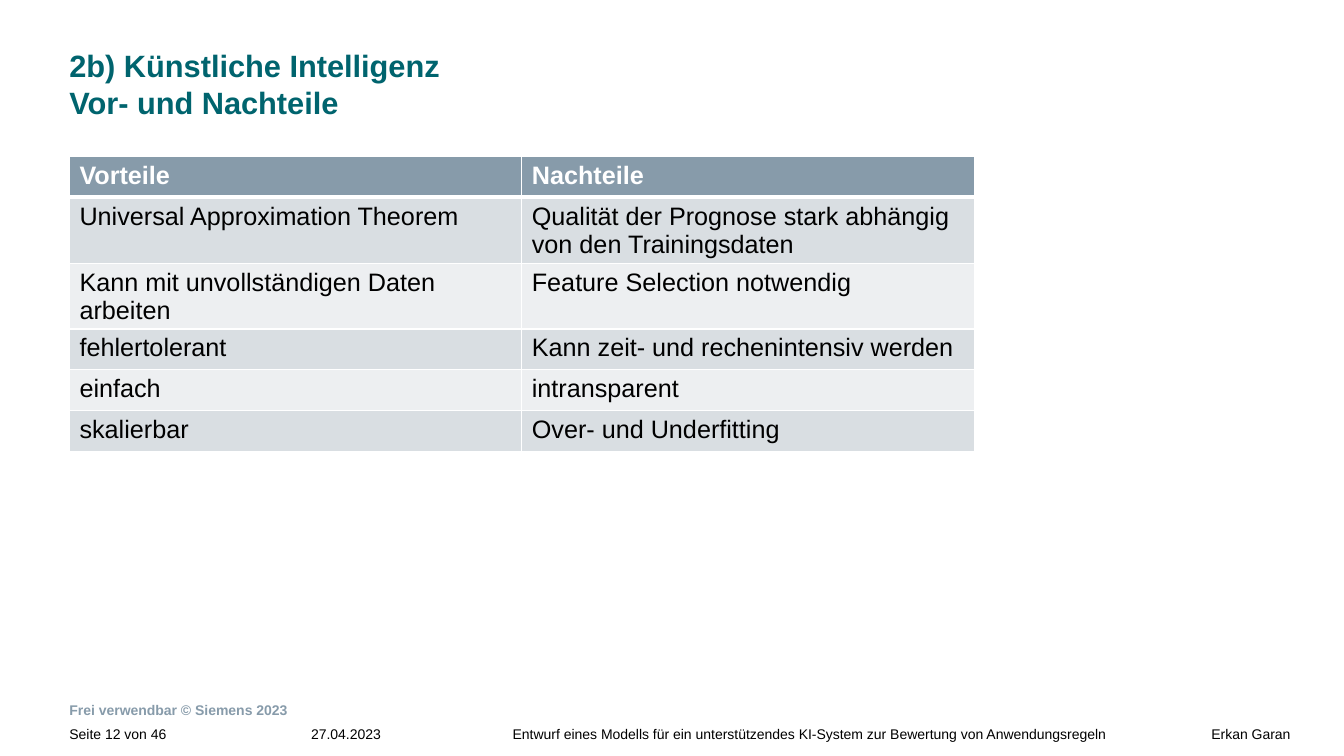
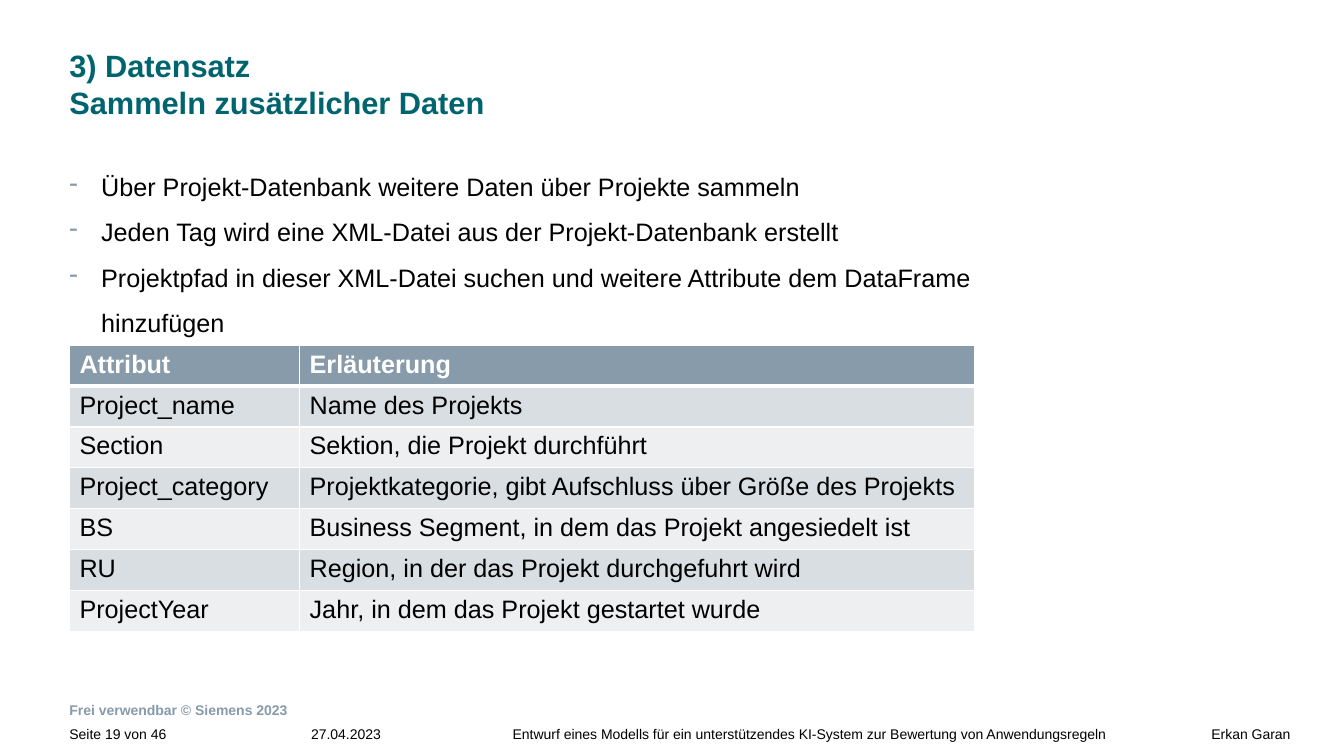
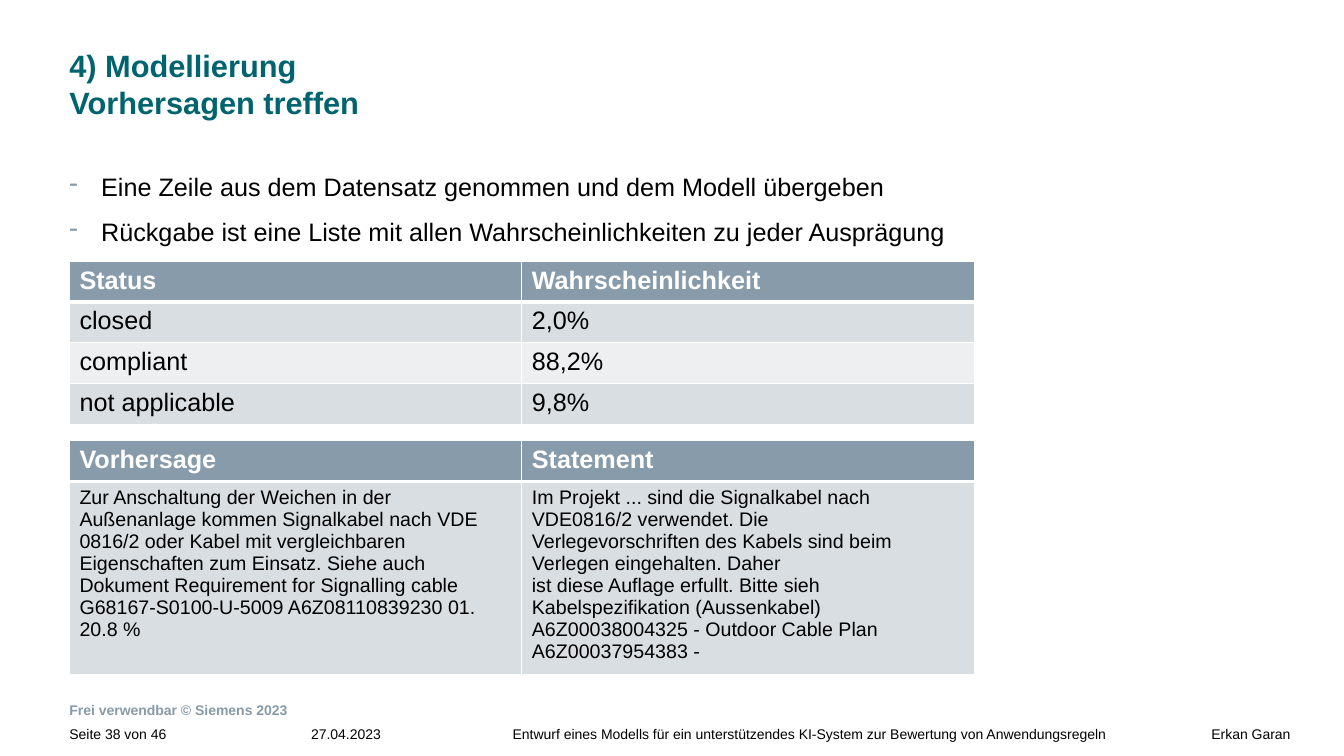
import pptx
import pptx.util
import pptx.dml.color
import pptx.enum.text
import pptx.oxml.ns
from lxml import etree

Cm, Pt = pptx.util.Cm, pptx.util.Pt
ALIGN, ANCHOR = pptx.enum.text.PP_ALIGN, pptx.enum.text.MSO_ANCHOR

# Content; "tall" gives the height of rows whose text wraps
SLIDES = [
    {
        "number": 12,
        "title": ("2b) Künstliche Intelligenz", "Vor- und Nachteile"),
        "bullets": [],
        "tables": [
            {"top": 3.94, "columns": (11.4, 11.4), "size": 18, "tall": {1: 1.66, 2: 1.66}, "rows": [
                ("Vorteile", "Nachteile"),
                ("Universal Approximation Theorem",
                 "Qualität der Prognose stark abhängig von den Trainingsdaten"),
                ("Kann mit unvollständigen Daten arbeiten", "Feature Selection notwendig"),
                ("fehlertolerant", "Kann zeit- und rechenintensiv werden"),
                ("einfach", "intransparent"),
                ("skalierbar", "Over- und Underfitting"),
            ]},
        ],
    },
    {
        "number": 19,
        "title": ("3) Datensatz", "Sammeln zusätzlicher Daten"),
        "bullets": [
            "Über Projekt-Datenbank weitere Daten über Projekte sammeln",
            "Jeden Tag wird eine XML-Datei aus der Projekt-Datenbank erstellt",
            "Projektpfad in dieser XML-Datei suchen und weitere Attribute dem DataFrame hinzufügen",
        ],
        "tables": [
            {"top": 8.7, "columns": (5.8, 17), "size": 18, "tall": {}, "rows": [
                ("Attribut", "Erläuterung"),
                ("Project_name", "Name des Projekts"),
                ("Section", "Sektion, die Projekt durchführt"),
                ("Project_category", "Projektkategorie, gibt Aufschluss über Größe des Projekts"),
                ("BS", "Business Segment, in dem das Projekt angesiedelt ist"),
                ("RU", "Region, in der das Projekt durchgefuhrt wird"),
                ("ProjectYear", "Jahr, in dem das Projekt gestartet wurde"),
            ]},
        ],
    },
    {
        "number": 38,
        "title": ("4) Modellierung", "Vorhersagen treffen"),
        "bullets": [
            "Eine Zeile aus dem Datensatz genommen und dem Modell übergeben",
            "Rückgabe ist eine Liste mit allen Wahrscheinlichkeiten zu jeder Ausprägung",
        ],
        "tables": [
            {"top": 6.58, "columns": (11.4, 11.4), "size": 18, "tall": {}, "rows": [
                ("Status", "Wahrscheinlichkeit"),
                ("closed", "2,0%"),
                ("compliant", "88,2%"),
                ("not applicable", "9,8%"),
            ]},
            {"top": 11.1, "columns": (11.4, 11.4), "size": 14, "tall": {1: 4.7}, "rows": [
                ("Vorhersage", "Statement"),
                ("Zur Anschaltung der Weichen in der Außenanlage kommen Signalkabel nach VDE "
                 "0816/2 oder Kabel mit vergleichbaren Eigenschaften zum Einsatz. Siehe auch "
                 "Dokument Requirement for Signalling cable G68167-S0100-U-5009 "
                 "A6Z08110839230 01. 20.8 %",
                 "Im Projekt ... sind die Signalkabel nach VDE0816/2 verwendet. Die\n"
                 "Verlegevorschriften des Kabels sind beim Verlegen eingehalten. Daher\n"
                 "ist diese Auflage erfullt. Bitte sieh Kabelspezifikation (Aussenkabel)\n"
                 "A6Z00038004325 - Outdoor Cable Plan A6Z00037954383 -"),
            ]},
        ],
    },
]
NOTICE = "Frei verwendbar © Siemens 2023"
PAGE_LABEL = "Seite {} von 46"
DATE = "27.04.2023"
TOPIC = "Entwurf eines Modells für ein unterstützendes KI-System zur Bewertung von Anwendungsregeln"
AUTHOR = "Erkan Garan"

# Shared style, lengths in centimetres
COLORS = {"title": "00646E", "accent": "879BAA", "text": "000000", "white": "FFFFFF",
          "band_dark": "D9DEE2", "band_light": "EDEFF1"}
FONT = "Arial"
WIDTH, HEIGHT = 33.87, 19.05
LEFT, BODY_TOP, BODY_WIDTH, BODY_HEIGHT = 1.75, 3.94, 22.8, 13.2
ROW_HEIGHT = 1.03
FOOTER_TOP, FOOTER_HEIGHT = 18.23, 0.82
FOOTER_TABS = (2.54, 7.62)
BULLET_INDENT = 0.8


def style(paragraph, size, color, bold=False, spacing=None):
    paragraph.font.name = FONT
    paragraph.font.size = Pt(size)
    paragraph.font.bold = bold
    paragraph.font.color.rgb = pptx.dml.color.RGBColor.from_string(COLORS[color])
    if spacing:
        paragraph.line_spacing = spacing


def add_element(parent, tag, **attributes):
    return etree.SubElement(parent, pptx.oxml.ns.qn(tag), attributes)


def add_box(page, place, insets, text, anchor=ANCHOR.TOP):
    """Add a wrapped text box; insets run left, top, right, bottom."""
    frame = page.shapes.add_textbox(*map(Cm, place)).text_frame
    frame.word_wrap = True
    frame.vertical_anchor = anchor
    (frame.margin_left, frame.margin_top,
     frame.margin_right, frame.margin_bottom) = map(Cm, insets)
    frame.text = text
    return frame.paragraphs


def add_title(page, lines):
    box = add_box(page, (0, 0, WIDTH, BODY_TOP), (LEFT, 1.19, 9.4, 0.58), "\v".join(lines))
    style(box[0], 22, "title", bold=True)


def add_footer(page, number):
    notice = add_box(page, (0, 17.14, WIDTH, 1.1), (LEFT, 0.4, 8.9, 0), NOTICE, ANCHOR.MIDDLE)
    style(notice[0], 10, "accent", bold=True)

    parts = [  # left, width, left inset, right inset, text
        (0, 28.45, 5.3, 0, f"\t{DATE}\t{TOPIC}"),
        (0, 4.9, LEFT, 0, PAGE_LABEL.format(number)),
        (29.37, 4.5, 0, 1.35, AUTHOR),
    ]
    for left, width, inset_left, inset_right, text in parts:
        paragraph = add_box(page, (left, FOOTER_TOP, width, FOOTER_HEIGHT),
                            (inset_left, 0, inset_right, 0.33), text)[0]
        if "\t" in text:
            stops = add_element(paragraph._p.get_or_add_pPr(), "a:tabLst")
            for position in FOOTER_TABS:
                add_element(stops, "a:tab", pos=str(Cm(position)), algn="l")
        if text == AUTHOR:
            paragraph.alignment = ALIGN.RIGHT
        style(paragraph, 10, "text", spacing=1.1)


def add_bullets(page, lines):
    place = (LEFT, BODY_TOP, BODY_WIDTH, BODY_HEIGHT)
    for paragraph in add_box(page, place, (0, 0, 0, 0), "\n".join(lines)):
        properties = paragraph._p.get_or_add_pPr()
        properties.set("marL", str(Cm(BULLET_INDENT)))
        properties.set("indent", str(-Cm(BULLET_INDENT)))
        add_element(add_element(properties, "a:buClr"), "a:srgbClr", val=COLORS["accent"])
        add_element(properties, "a:buChar", char="-")
        style(paragraph, 18, "text", spacing=1.5)


def add_borders(cell, bottom):
    properties = cell._tc.get_or_add_tcPr()
    for side, width in (("L", 1), ("R", 1), ("T", 1), ("B", bottom)):
        line = add_element(properties, f"a:ln{side}", w=str(Pt(width)))
        add_element(add_element(line, "a:solidFill"), "a:srgbClr", val=COLORS["white"])


def add_table(page, top, columns, size, tall, rows):
    heights = [tall.get(index, ROW_HEIGHT) for index in range(len(rows))]
    table = page.shapes.add_table(len(rows), len(columns), Cm(LEFT), Cm(top),
                                  Cm(sum(columns)), Cm(sum(heights))).table
    for column, width in zip(table.columns, columns):
        column.width = Cm(width)
    for row_index, texts in enumerate(rows):
        table.rows[row_index].height = Cm(heights[row_index])
        header = row_index == 0
        band = "accent" if header else "band_dark" if row_index % 2 else "band_light"
        for column_index, text in enumerate(texts):
            cell = table.cell(row_index, column_index)
            add_borders(cell, 3 if header else 1)
            cell.fill.solid()
            cell.fill.fore_color.rgb = pptx.dml.color.RGBColor.from_string(COLORS[band])
            cell.margin_bottom = 0
            cell.text = text
            for paragraph in cell.text_frame.paragraphs:
                style(paragraph, 18 if header else size, "white" if header else "text", header)


def main():
    deck = pptx.Presentation()
    deck.slide_width, deck.slide_height = Cm(WIDTH), Cm(HEIGHT)
    for content in SLIDES:
        page = deck.slides.add_slide(deck.slide_layouts[6])
        add_footer(page, content["number"])
        add_title(page, content["title"])
        if content["bullets"]:
            add_bullets(page, content["bullets"])
        for table in content["tables"]:
            add_table(page, **table)
    deck.save("out.pptx")


if __name__ == "__main__":
    main()
